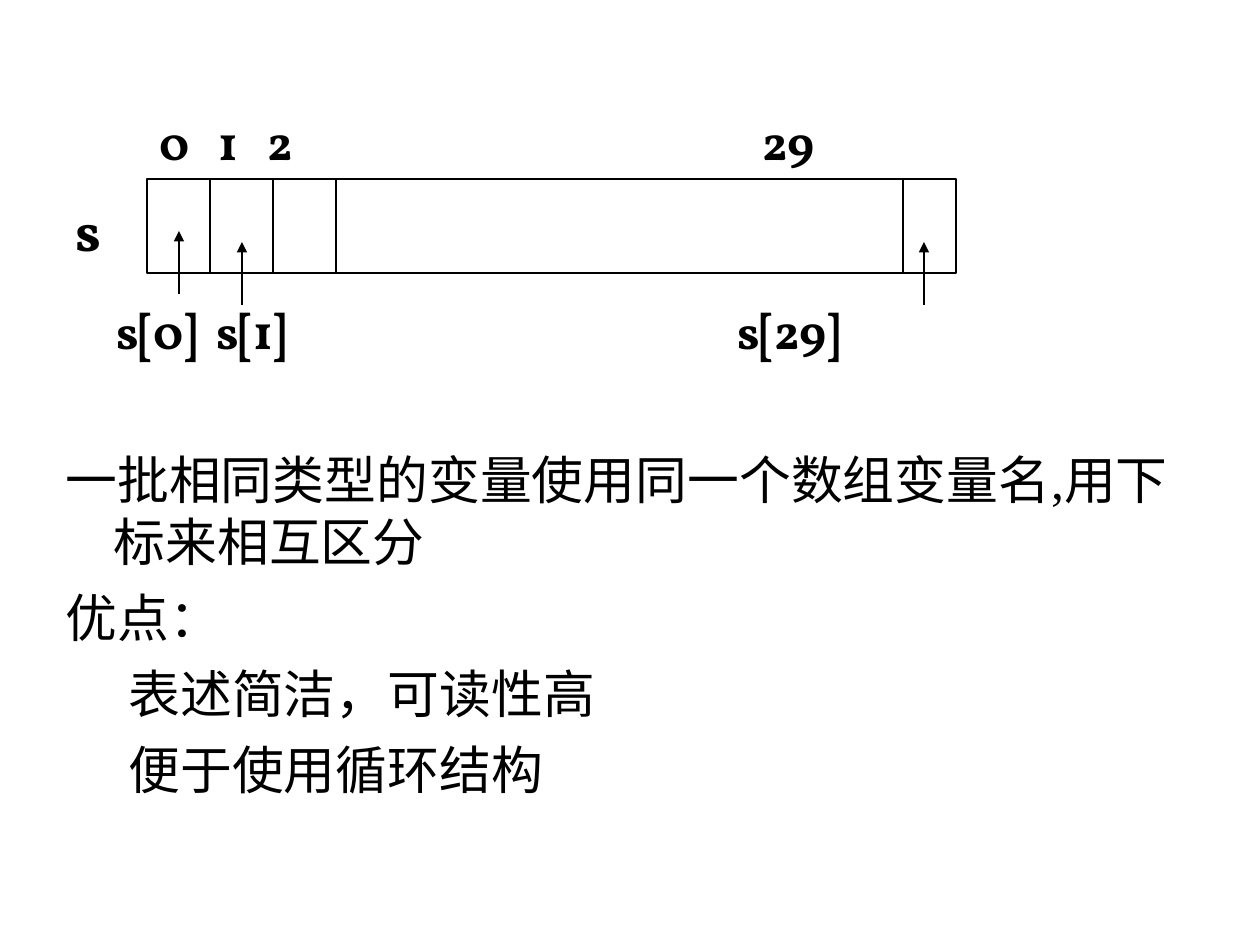
"""Build a slide on array subscripts with a diagram and a list."""
from lxml import etree
from pptx import Presentation
from pptx.dml.color import RGBColor
from pptx.enum.shapes import MSO_CONNECTOR, MSO_SHAPE
from pptx.enum.text import MSO_ANCHOR, MSO_AUTO_SIZE, PP_ALIGN
from pptx.oxml.ns import qn
from pptx.util import Inches, Pt

LINE = MSO_CONNECTOR.STRAIGHT
RECT = MSO_SHAPE.RECTANGLE
TOP = MSO_ANCHOR.TOP
FIXED = MSO_AUTO_SIZE.NONE
LEFT = PP_ALIGN.LEFT
SCALE = 914400 / 126
COLORS = {"ink": "000000"}


def px(n):
    return round(n * SCALE)


def write(para, text, font, size, bold=False, color="ink", before=0,
          level=0, margin=0, indent=0):
    props = para._p.get_or_add_pPr()
    props.set("marL", str(px(margin)))
    props.set("indent", str(px(indent)))
    etree.SubElement(props, qn("a:buNone"))
    para.level = level
    para.alignment = LEFT
    para.space_before = Pt(before)
    run = para.add_run()
    run.text = text
    run.font.name = font
    run.font.size = Pt(size)
    run.font.bold = bold
    run.font.color.rgb = RGBColor.from_string(COLORS[color])


class Board:
    """Hold the style and the current slide."""

    def __init__(self, slide):
        self.slide = slide
        self.shapes = slide.shapes
        self.ink = RGBColor.from_string(COLORS["ink"])
        self.head = "Vollkorn"
        self.text = "Times New Roman"

    def frame(self, shape):
        frame = shape.text_frame
        frame.word_wrap = True
        frame.auto_size = FIXED
        frame.vertical_anchor = TOP
        return frame

    def body(self, items, x, y, w, h):
        body = self.slide.placeholders[1]
        body.left, body.top, body.width, body.height = map(px, (x, y, w, h))
        frame = self.frame(body)
        for i, (text, level) in enumerate(items):
            para = frame.add_paragraph() if i else frame.paragraphs[0]
            margin, indent = ((48, -48), (102, -39))[level]
            write(para, text, self.text, 29.6, before=8 if i else 0,
                  level=level, margin=margin, indent=indent)

    def label(self, text, x, y, w, h, size=28):
        box = self.shapes.add_textbox(*map(px, (x, y, w, h)))
        write(self.frame(box).paragraphs[0], text, self.head, size, bold=True)

    def rect(self, x, y, w, h):
        shape = self.shapes.add_shape(RECT, *map(px, (x, y, w, h)))
        shape.shadow.inherit = False
        shape.fill.background()
        shape.line.color.rgb = self.ink
        shape.line.width = Pt(1)

    def line(self, x, start, end, arrow=False):
        line = self.shapes.add_connector(LINE, *map(px, (x, start, x, end)))
        line.line.color.rgb = self.ink
        line.line.width = Pt(1)
        props = line._element.spPr
        if arrow:
            etree.SubElement(props.find(qn("a:ln")), qn("a:tailEnd"),
                             type="triangle")
        etree.SubElement(props, qn("a:effectLst"))


def main():
    deck = Presentation()
    deck.slide_width, deck.slide_height = Inches(10), Inches(7.5)
    slide = deck.slides.add_slide(deck.slide_layouts[1])
    title = slide.shapes.title._element
    title.getparent().remove(title)
    board = Board(slide)

    board.body([
        ("一批相同类型的变量使用同一个数组变量名,用下标来相互区分", 0),
        ("优点：", 0),
        ("表述简洁，可读性高", 1),
        ("便于使用循环结构", 1),
    ], 53, 441, 1165, 378)

    left, top, high, cell = 147, 179, 94, 63
    board.rect(left, top, 809, high)
    for x in [left + cell * i for i in (1, 2, 3)] + [903]:
        board.line(x, top, top + high)

    board.label("s", 63, 189, 73, 79, size=32)
    for text, x in (("0", left), ("1", 206), ("2", 255), ("29", 750)):
        board.label(text, x, 105, 90, 73)
    for text, x in (("s[0]", 104), ("s[1]", 204), ("s[29]", 725)):
        board.label(text, x, 294, 150, 73)

    for x, start in ((179, 294), (242, 305), (924, 305)):
        board.line(x, start, start - cell, arrow=True)
    deck.save("out.pptx")


if __name__ == "__main__":
    main()
